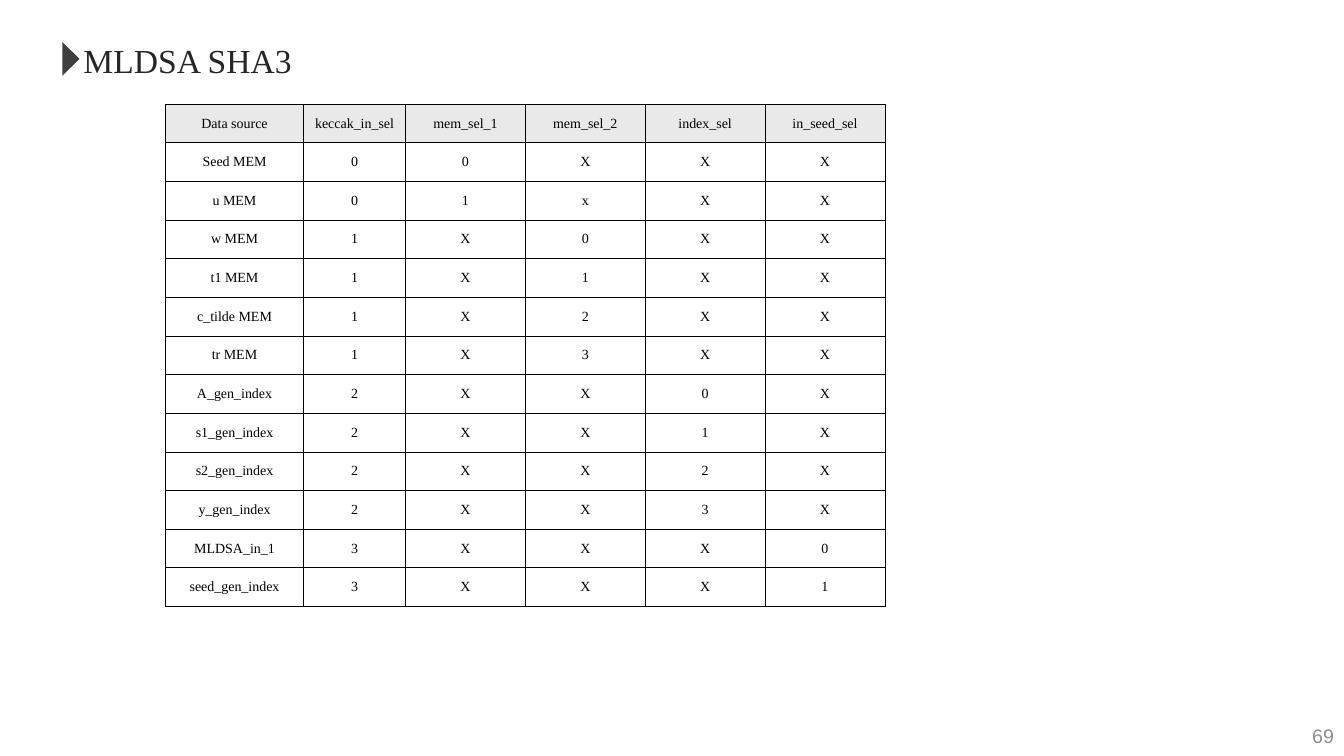
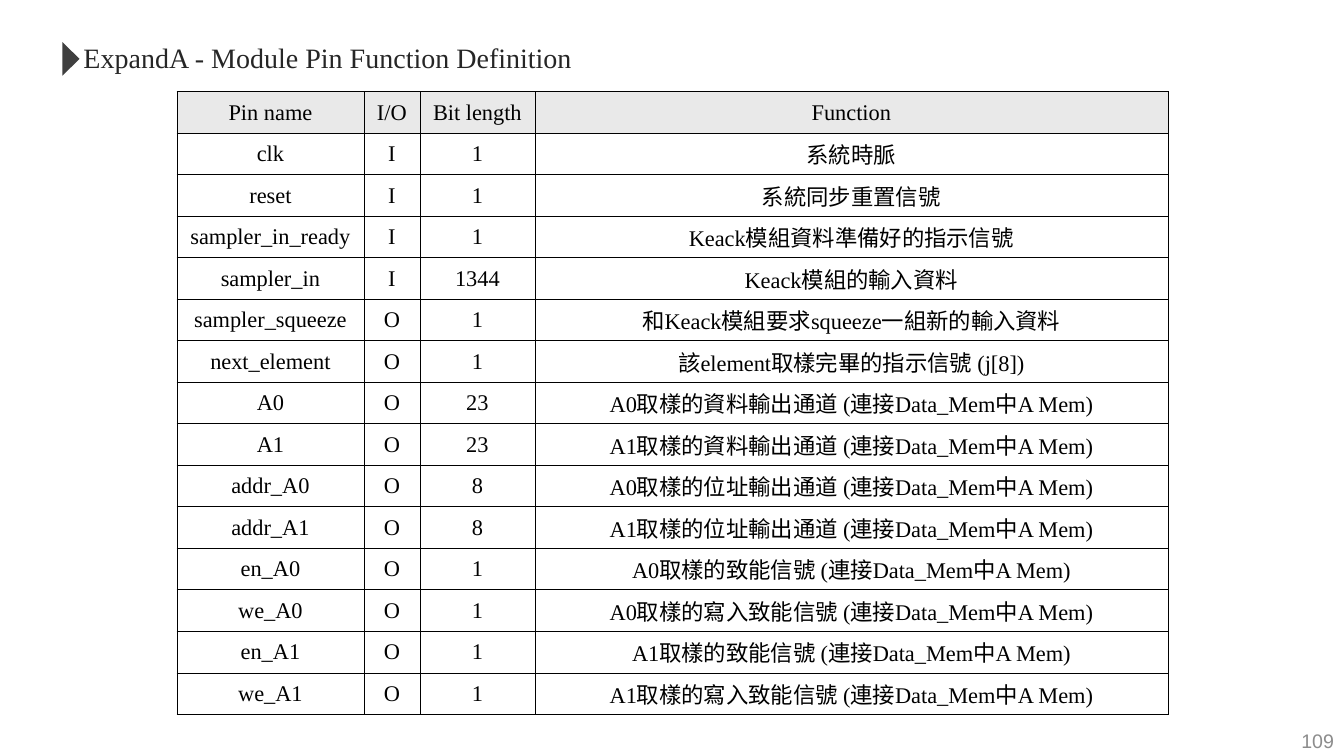
"""Build two slides that tabulate the MLDSA SHA3 selectors and the ExpandA pins."""
from lxml.etree import SubElement
from pptx import Presentation
from pptx.dml.color import RGBColor
from pptx.enum.shapes import MSO_SHAPE as Preset
from pptx.enum.text import MSO_ANCHOR as Anchor, MSO_AUTO_SIZE as AutoSize, PP_ALIGN as Align
from pptx.oxml.ns import qn
from pptx.util import Cm, Pt

BLACK = RGBColor(0x00, 0x00, 0x00)
WHITE = RGBColor(0xFF, 0xFF, 0xFF)
HEADER_GREY = RGBColor(0xE9, 0xE9, 0xE9)
TITLE_GREY = RGBColor(0x26, 0x26, 0x26)
MARKER_GREY = RGBColor(0x3F, 0x3F, 0x3F)
NUMBER_GREY = RGBColor(0x8C, 0x8C, 0x8C)
SERIF = "Times New Roman"
SANS = "Arial"

SELECTOR_ROWS = [
    ("Data source", "keccak_in_sel", "mem_sel_1", "mem_sel_2", "index_sel", "in_seed_sel"),
    ("Seed MEM", "0", "0", "X", "X", "X"),
    ("u MEM", "0", "1", "x", "X", "X"),
    ("w MEM", "1", "X", "0", "X", "X"),
    ("t1 MEM", "1", "X", "1", "X", "X"),
    ("c_tilde MEM", "1", "X", "2", "X", "X"),
    ("tr MEM", "1", "X", "3", "X", "X"),
    ("A_gen_index", "2", "X", "X", "0", "X"),
    ("s1_gen_index", "2", "X", "X", "1", "X"),
    ("s2_gen_index", "2", "X", "X", "2", "X"),
    ("y_gen_index", "2", "X", "X", "3", "X"),
    ("MLDSA_in_1", "3", "X", "X", "X", "0"),
    ("seed_gen_index", "3", "X", "X", "X", "1"),
]
PIN_ROWS = [
    ("Pin name", "I/O", "Bit length", "Function"),
    ("clk", "I", "1", "系統時脈"),
    ("reset", "I", "1", "系統同步重置信號"),
    ("sampler_in_ready", "I", "1", "Keack模組資料準備好的指示信號"),
    ("sampler_in", "I", "1344", "Keack模組的輸入資料"),
    ("sampler_squeeze", "O", "1", "和Keack模組要求squeeze一組新的輸入資料"),
    ("next_element", "O", "1", "該element取樣完畢的指示信號 (j[8])"),
    ("A0", "O", "23", "A0取樣的資料輸出通道 (連接Data_Mem中A Mem)"),
    ("A1", "O", "23", "A1取樣的資料輸出通道 (連接Data_Mem中A Mem)"),
    ("addr_A0", "O", "8", "A0取樣的位址輸出通道 (連接Data_Mem中A Mem)"),
    ("addr_A1", "O", "8", "A1取樣的位址輸出通道 (連接Data_Mem中A Mem)"),
    ("en_A0", "O", "1", "A0取樣的致能信號 (連接Data_Mem中A Mem)"),
    ("we_A0", "O", "1", "A0取樣的寫入致能信號 (連接Data_Mem中A Mem)"),
    ("en_A1", "O", "1", "A1取樣的致能信號 (連接Data_Mem中A Mem)"),
    ("we_A1", "O", "1", "A1取樣的寫入致能信號 (連接Data_Mem中A Mem)"),
]
SLIDES = [
    {
        "title": "MLDSA SHA3", "title_size": 24, "title_box": (5.82, 1.28),
        "number": "69", "number_top": 18.03,
        "rows": SELECTOR_ROWS, "text_size": 10, "table_box": (4.17, 2.62, 12.67),
        "columns": [3.48, 2.57] + [3.02] * 4,
    },
    {
        "title": "ExpandA - Module Pin Function Definition", "title_size": 20,
        "title_box": (12.9, 1.11), "number": "109", "number_top": 18.16,
        "rows": PIN_ROWS, "text_size": 16, "table_box": (4.46, 2.31, 15.7),
        "columns": [4.71, 1.41, 2.9, 15.95],
    },
]


def write_text(frame, text, size, color=BLACK, font=SERIF, align=Align.CENTER):
    paragraph = frame.paragraphs[0]
    paragraph.alignment = align
    run = paragraph.add_run()
    run.text = text
    run.font.size = Pt(size)
    run.font.name = font
    run.font.color.rgb = color


def add_title(slide, content):
    title = slide.shapes.title
    title.left, title.top = Cm(1.85), Cm(0.89)
    title.width, title.height = map(Cm, content["title_box"])
    frame = title.text_frame
    frame.word_wrap = False
    frame.auto_size = AutoSize.SHAPE_TO_FIT_TEXT
    frame.vertical_anchor = Anchor.TOP
    write_text(frame, content["title"], content["title_size"], TITLE_GREY, align=Align.LEFT)

    marker = slide.shapes.add_shape(
        Preset.ISOSCELES_TRIANGLE, Cm(1.37), Cm(1.27), Cm(0.84), Cm(0.43))
    marker.rotation = 90
    marker.shadow.inherit = False
    marker.fill.solid()
    marker.fill.fore_color.rgb = MARKER_GREY
    marker.line.fill.background()


def add_page_number(slide, content):
    box = slide.shapes.add_textbox(Cm(26.25), Cm(content["number_top"]), Cm(7.62), Cm(1.02))
    frame = box.text_frame
    frame.word_wrap = True
    frame.vertical_anchor = Anchor.MIDDLE
    write_text(frame, content["number"], 14, NUMBER_GREY, SANS, Align.RIGHT)


def add_borders(cell):
    properties = cell._tc.get_or_add_tcPr()
    for side in ("a:lnL", "a:lnR", "a:lnT", "a:lnB"):
        line = SubElement(properties, qn(side), w=str(Pt(0.5)))
        fill = SubElement(line, qn("a:solidFill"))
        SubElement(fill, qn("a:srgbClr"), val=str(BLACK))


def add_grid(slide, content):
    rows, columns = content["rows"], content["columns"]
    left, top, height = content["table_box"]
    table = slide.shapes.add_table(
        len(rows), len(columns), Cm(left), Cm(top), Cm(sum(columns)), Cm(height)).table
    table.first_row = table.horz_banding = False
    for column, width in zip(table.columns, columns):
        column.width = Cm(width)
    for row_index, row in enumerate(rows):
        for column_index, text in enumerate(row):
            cell = table.cell(row_index, column_index)
            add_borders(cell)
            cell.fill.solid()
            cell.fill.fore_color.rgb = WHITE if row_index else HEADER_GREY
            cell.vertical_anchor = Anchor.MIDDLE
            cell.margin_top = cell.margin_bottom = 0
            write_text(cell.text_frame, text, content["text_size"])


def main():
    presentation = Presentation()
    presentation.slide_width, presentation.slide_height = Cm(33.87), Cm(19.05)
    title_only = presentation.slide_layouts[5]
    for content in SLIDES:
        slide = presentation.slides.add_slide(title_only)
        add_title(slide, content)
        add_grid(slide, content)
        add_page_number(slide, content)
    presentation.save("out.pptx")


if __name__ == "__main__":
    main()
